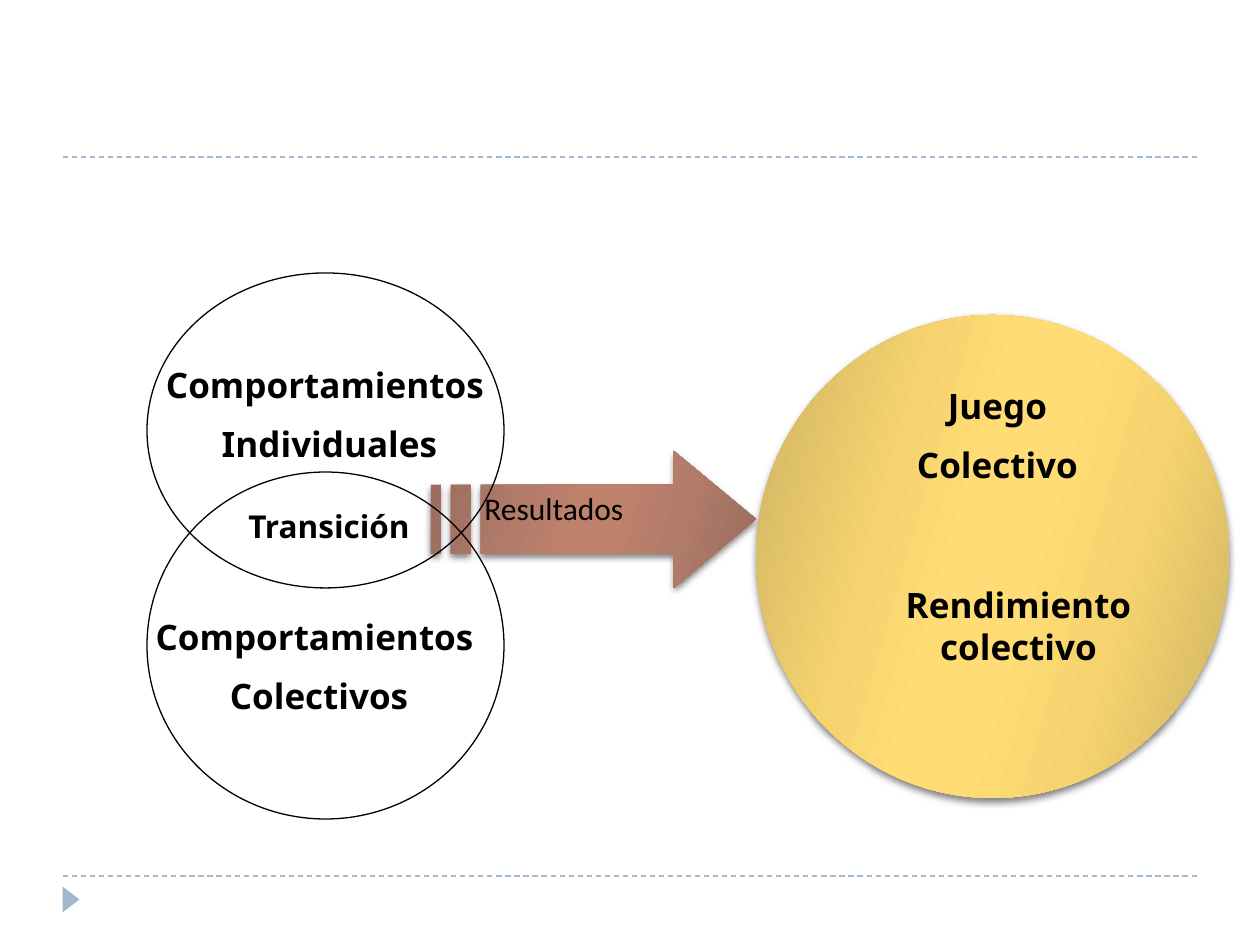
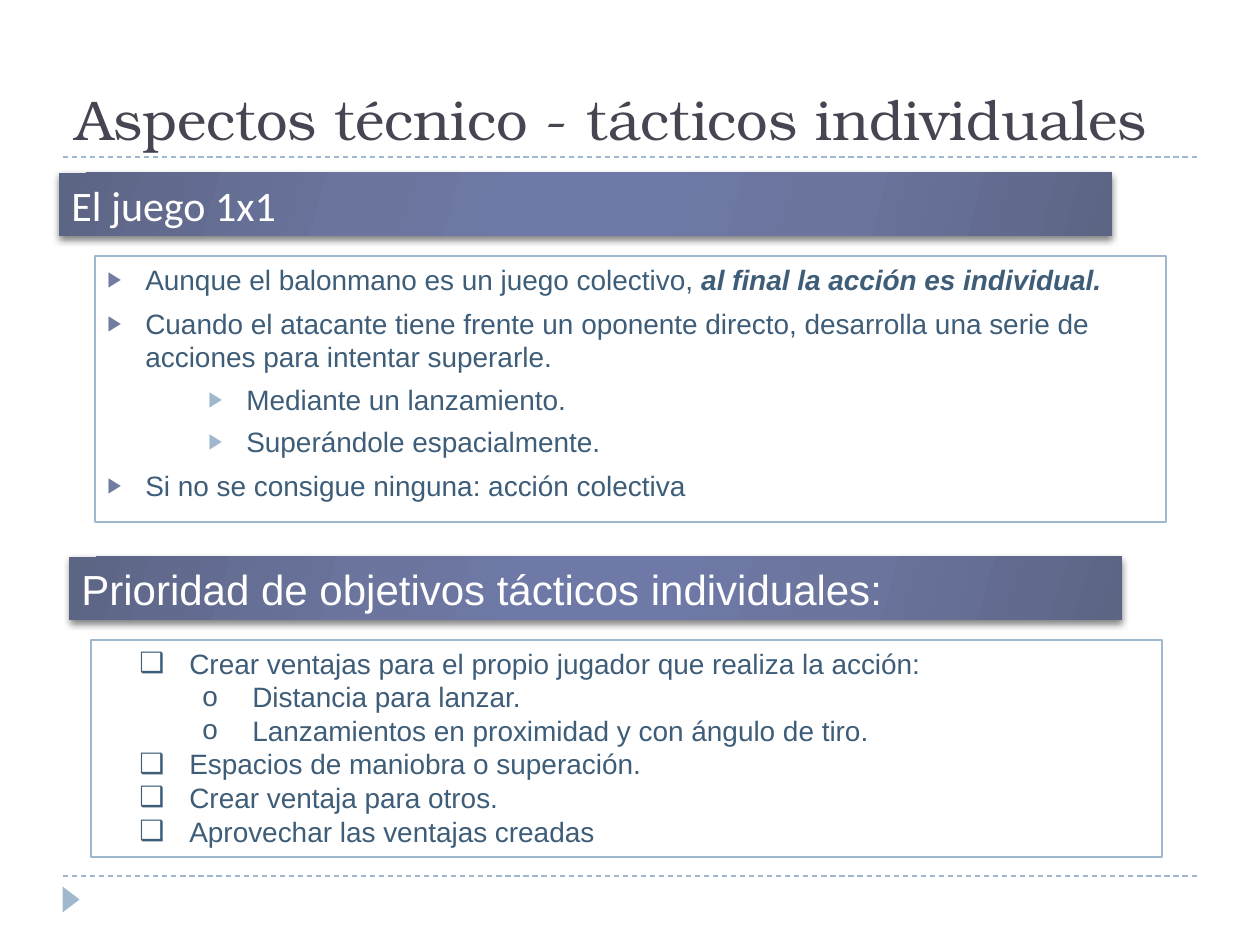
"""Build two handball slides: a play model and individual tactics."""
from dataclasses import dataclass
from typing import Optional, Sequence

from lxml import etree
from pptx import Presentation
from pptx import util as u
from pptx.dml.color import RGBColor
from pptx.enum import dml, shapes, text
from pptx.oxml.ns import qn

SCALE = 914400 / 126
BLACK = RGBColor(0, 0, 0)
WHITE = RGBColor(255, 255, 255)
PALE = RGBColor(0x9F, 0xB8, 0xCD)
INK = RGBColor(0x3E, 0x5D, 0x78)
SLATE = RGBColor(0x46, 0x46, 0x53)
BLUE = RGBColor(0x72, 0x7C, 0xA3)
STOPS = (0, 30, 45, 55, 73, 100)
RUST = ("976C5D", "B37C6A", "BE816C")
GOLD = ("CDB264", "F5D36E", "FFDC75")
NAVY = ("5D6585", "6B759E", "6E79A7")
OVAL = shapes.MSO_SHAPE.OVAL
RECT = shapes.MSO_SHAPE.RECTANGLE
LEFT, MID = text.PP_ALIGN.LEFT, text.PP_ALIGN.CENTER


@dataclass(frozen=True)
class Box:
    left: int
    top: int
    width: int
    height: int

    def emu(self) -> list:
        """Return the four lengths in EMU."""
        return [px(n) for n in (self.left, self.top, self.width, self.height)]


@dataclass(frozen=True)
class Type:
    font: str
    size: int
    color: RGBColor = BLACK
    bold: bool = False


@dataclass(frozen=True)
class Mark:
    char: str
    level: int
    left: int
    hang: int
    before: int = 0
    color: Optional[RGBColor] = None
    size: int = 100


@dataclass(frozen=True)
class Item:
    mark: Mark
    words: str
    strong: str = ""


@dataclass(frozen=True)
class Label:
    box: Box
    lines: Sequence[str]
    type: Type
    align: text.PP_ALIGN = MID
    before: int = 50
    wrap: bool = True


@dataclass(frozen=True)
class Panel:
    band: Box
    head: str
    font: str
    box: Box
    items: Sequence[Item]


HEAD = Type("Noto Sans", 20, bold=True)
BODY = Type("Arial", 16, INK)
MAIN = Mark("▶", 0, 38, 38, 6, BLUE, 76)
SUB = Mark("▶", 2, 139, 38, 5, PALE, 76)
CHECK = Mark("❑", 1, 86, 50)
RING = Mark("o", 3, 149, 50)

ARROW = (
    ((674, 451), (674, 485), (481, 485), (481, 554), (674, 554), (674, 588), (756, 519)),
    ((451, 485), (451, 554), (471, 554), (471, 485)),
    ((431, 485), (431, 554), (441, 554), (441, 485)),
)
RINGS = (Box(147, 273, 357, 315), Box(147, 472, 357, 347))
LABELS = (
    Label(Box(840, 577, 357, 97), ["Rendimiento colectivo"], HEAD),
    Label(Box(819, 378, 357, 117), ["Juego", "Colectivo"], HEAD),
    Label(Box(472, 483, 242, 50), ["Resultados"], Type("Calibri", 18), LEFT),
    Label(Box(136, 609, 357, 117), ["Comportamientos", " Colectivos"], HEAD),
    Label(Box(136, 357, 378, 117), ["Comportamientos", " Individuales"], HEAD),
    Label(Box(236, 501, 190, 50), ["Transición"],
          Type("Noto Sans", 18, bold=True), LEFT, 0, False),
)
PANELS = (
    Panel(Box(59, 173, 1053, 63), "El juego 1x1", "Calibri", Box(95, 256, 1071, 266), (
        Item(MAIN, "Aunque el balonmano es un juego colectivo, ",
             "al final la acción es individual."),
        Item(MAIN, "Cuando el atacante tiene frente un oponente directo, desarrolla "
                   "una serie de acciones para intentar superarle."),
        Item(SUB, "Mediante un lanzamiento."),
        Item(SUB, "Superándole espacialmente."),
        Item(MAIN, "Si no se consigue ninguna: acción colectiva"),
    )),
    Panel(Box(69, 557, 1053, 63), "Prioridad de objetivos tácticos individuales:",
          "Arial", Box(91, 640, 1071, 217), (
        Item(CHECK, "Crear ventajas para el propio jugador que realiza la acción:"),
        Item(RING, "Distancia para lanzar."),
        Item(RING, "Lanzamientos en proximidad y con ángulo de tiro."),
        Item(CHECK, "Espacios de maniobra o superación."),
        Item(CHECK, "Crear ventaja para otros."),
        Item(CHECK, "Aprovechar las ventajas creadas"),
    )),
)


def px(n: int) -> int:
    """Turn px into EMU."""
    return u.Emu(round(n * SCALE))


def node(root, tag: str, **attrs):
    """Add a drawing element below the given one."""
    return etree.SubElement(root, qn("a:" + tag), attrs)


def style(para, kind: Type) -> None:
    """Format all runs of a paragraph."""
    for run in para.runs:
        font = run.font
        font.name, font.size, font.bold = kind.font, u.Pt(kind.size), kind.bold
        font.color.rgb = kind.color


def gloss(shape, tones: Sequence[str]) -> None:
    """Give a shape a sheen of three tones and a soft shadow."""
    shape.line.fill.background()
    shape.fill.gradient()
    grad = shape.element.spPr.find(qn("a:gradFill"))
    for child in list(grad):
        grad.remove(child)
    stops = node(grad, "gsLst")
    for pos, tone in zip(STOPS, (*tones, *reversed(tones))):
        node(node(stops, "gs", pos=str(pos * 1000)), "srgbClr", val=tone)
    node(grad, "lin", ang=str(16 * 60000), scaled="0")
    shape.shadow.inherit = False
    glow = node(shape.element.spPr.find(qn("a:effectLst")), "outerShdw", blurRad="50800",
                dist="25400", dir="5400000", algn="ctr", rotWithShape="0")
    node(node(glow, "srgbClr", val="000000"), "alpha", val="50000")


def plain(slide, kind, box: Box, fill: Optional[RGBColor],
          line: Optional[RGBColor], width: float = 0.75):
    """Add a flat preset shape."""
    shape = slide.shapes.add_shape(kind, *box.emu())
    shape.shadow.inherit = False
    if fill is None:
        shape.fill.background()
    else:
        shape.fill.solid()
        shape.fill.fore_color.rgb = fill
    if line is None:
        shape.line.fill.background()
    else:
        shape.line.color.rgb = line
        shape.line.width = u.Pt(width)
    return shape


def frame(slide) -> None:
    """Draw the dashed rules and the corner mark."""
    for y in (876, 157):
        rule = slide.shapes.add_connector(
            shapes.MSO_CONNECTOR.STRAIGHT, px(63), px(y), px(1197), px(y))
        rule.line.color.rgb = PALE
        rule.line.width = u.Pt(0.75)
        rule.line.dash_style = dml.MSO_LINE.DASH
        node(rule.element.spPr, "effectLst")
    plain(slide, shapes.MSO_SHAPE.ISOSCELES_TRIANGLE,
          Box(58, 891, 26, 17), PALE, None).rotation = 90


def write(slide, label: Label):
    """Add a text box and return its frame."""
    area = slide.shapes.add_textbox(*label.box.emu()).text_frame
    area.text = "\n".join(label.lines)
    area.word_wrap = label.wrap
    area.auto_size = text.MSO_AUTO_SIZE.SHAPE_TO_FIT_TEXT
    for para in area.paragraphs:
        para.alignment = label.align
        if label.before:
            gap = node(para._p.get_or_add_pPr(), "spcBef")
            node(gap, "spcPct", val=str(label.before * 1000))
        style(para, label.type)
    return area


def bullet(para, item: Item) -> None:
    """Fill a paragraph with a bulleted item."""
    mark = item.mark
    para.text = item.words
    para.level = mark.level
    para.alignment = LEFT
    para.space_before = u.Pt(mark.before)
    if item.strong:
        para.add_run().text = item.strong
    style(para, BODY)
    if item.strong:
        font = para.runs[-1].font
        font.bold = font.italic = True
    props = para._p.get_or_add_pPr()
    props.set("marL", str(px(mark.left)))
    props.set("indent", str(-px(mark.hang)))
    if mark.color is not None:
        node(node(props, "buClr"), "srgbClr", val=str(mark.color))
    node(props, "buSzPct", val=str(mark.size * 1000))
    node(props, "buFont", typeface="Arial")
    node(props, "buChar", char=mark.char)


def panel(slide, part: Panel) -> None:
    """Draw a heading band and its list."""
    band = slide.shapes.add_shape(RECT, *part.band.emu())
    gloss(band, NAVY)
    area = band.text_frame
    area.text = part.head
    area.word_wrap = True
    area.vertical_anchor = text.MSO_ANCHOR.TOP
    area.paragraphs[0].alignment = LEFT
    style(area.paragraphs[0], Type(part.font, 24, WHITE))
    area = plain(slide, RECT, part.box, WHITE, PALE, 1.5).text_frame
    area.word_wrap = True
    area.vertical_anchor = text.MSO_ANCHOR.TOP
    for n, item in enumerate(part.items):
        bullet(area.add_paragraph() if n else area.paragraphs[0], item)


def model(slide) -> None:
    """Draw how behaviours lead to collective play."""
    first, *rest = ARROW
    path = slide.shapes.build_freeform(*first[0], scale=SCALE)
    path.add_line_segments(first[1:], close=True)
    for points in rest:
        path.move_to(*points[0])
        path.add_line_segments(points[1:], close=True)
    gloss(path.convert_to_shape(), RUST)
    gloss(slide.shapes.add_shape(OVAL, *Box(756, 315, 473, 483).emu()), GOLD)
    for box in RINGS:
        plain(slide, OVAL, box, None, BLACK)
    for label in LABELS:
        write(slide, label)


def tactics(slide) -> None:
    """Draw the title and the two panels."""
    title = write(slide, Label(
        Box(63, 32, 1134, 126), ["Aspectos técnico - tácticos individuales"],
        Type("TeX Gyre Bonum", 32, SLATE), LEFT, 0))
    title.auto_size = text.MSO_AUTO_SIZE.NONE
    title.vertical_anchor = text.MSO_ANCHOR.BOTTOM
    for part in PANELS:
        panel(slide, part)


def main() -> None:
    """Build and save the deck."""
    deck = Presentation()
    deck.slide_width, deck.slide_height = px(1260), px(945)
    for draw in (model, tactics):
        slide = deck.slides.add_slide(deck.slide_layouts[6])
        frame(slide)
        draw(slide)
    deck.save("out.pptx")


if __name__ == "__main__":
    main()
